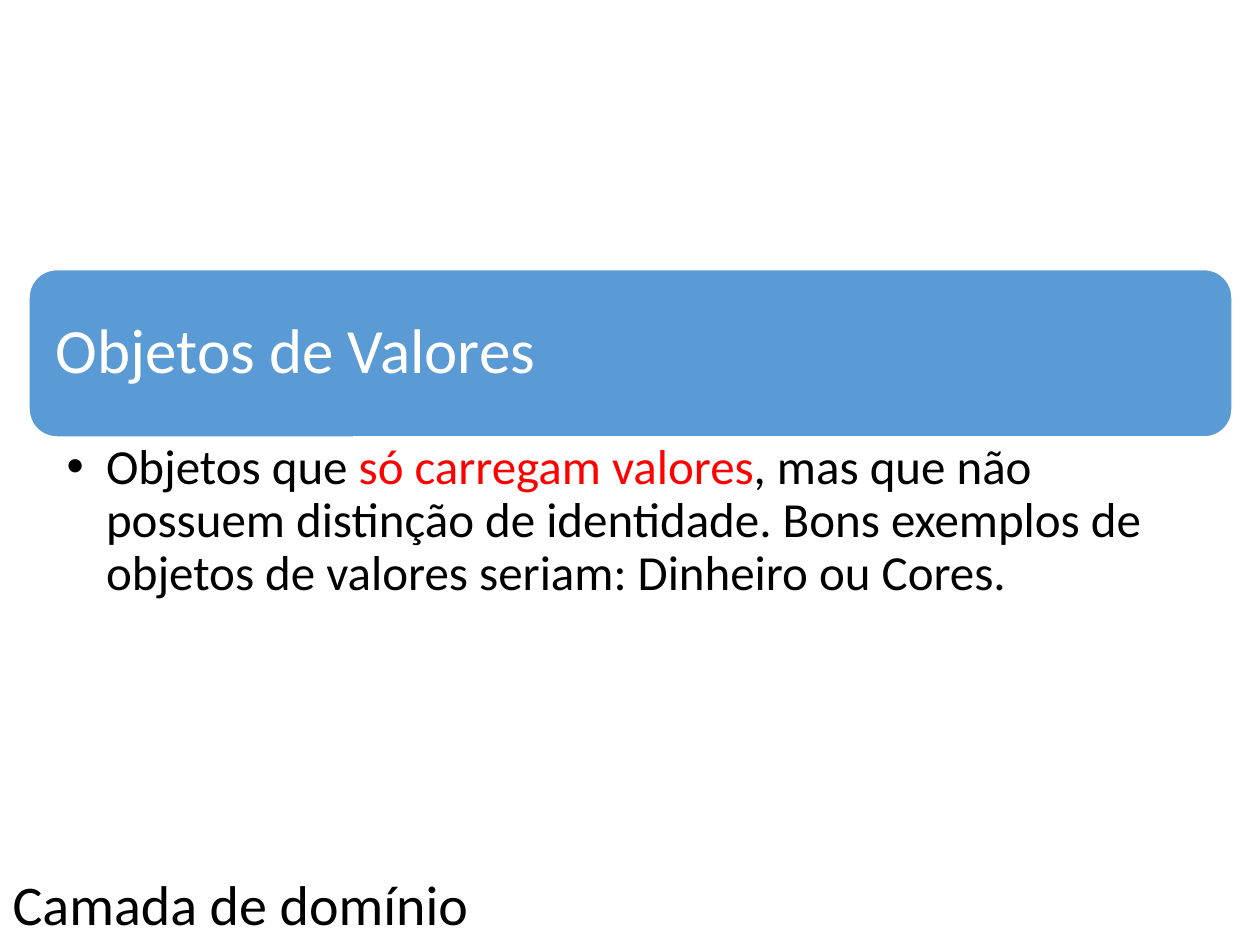
from lxml.etree import SubElement
from pptx import Presentation
from pptx.dml.color import RGBColor
from pptx.enum.shapes import MSO_SHAPE
from pptx.enum.text import MSO_ANCHOR, MSO_AUTO_SIZE, PP_ALIGN
from pptx.oxml.ns import qn
from pptx.util import Pt

COLORS = {"text": "000000", "accent": "FF0000", "banner": "5B9BD5", "white": "FFFFFF"}


def color(name):
    return RGBColor.from_string(COLORS[name])


def apply_format(target, values):
    for name, value in values.items():
        setattr(target, name, value)


def set_margins(frame, left, top, right, bottom):
    apply_format(frame, {
        "margin_left": Pt(left), "margin_top": Pt(top),
        "margin_right": Pt(right), "margin_bottom": Pt(bottom),
    })


def write_runs(paragraph, size, runs):
    """Add (text, colour name) runs to a left-aligned paragraph."""
    paragraph.alignment = PP_ALIGN.LEFT
    for text, color_name in runs:
        run = paragraph.add_run()
        run.text = text
        apply_format(run.font, {"name": "Calibri", "size": Pt(size)})
        run.font.color.rgb = color(color_name)


def add_bullet(paragraph, indent):
    properties = paragraph._p.get_or_add_pPr()
    properties.set("marL", str(Pt(indent)))
    properties.set("indent", str(-Pt(indent)))
    SubElement(properties, qn("a:buFont"), typeface="Arial")
    SubElement(properties, qn("a:buChar"), char="•")


def place_title(slide, left, top, width, height):
    title = slide.shapes.title
    apply_format(title, {"left": Pt(left), "top": Pt(top),
                         "width": Pt(width), "height": Pt(height)})
    frame = title.text_frame
    apply_format(frame, {"word_wrap": True, "auto_size": MSO_AUTO_SIZE.NONE,
                         "vertical_anchor": MSO_ANCHOR.TOP})
    set_margins(frame, 7.2, 3.6, 7.2, 3.6)
    write_runs(frame.paragraphs[0], 32, [("Camada de domínio", "text")])


def add_banner(slide, left, top, width, height):
    banner = slide.shapes.add_shape(
        MSO_SHAPE.ROUNDED_RECTANGLE, Pt(left), Pt(top), Pt(width), Pt(height))
    banner.shadow.inherit = False
    banner.fill.solid()
    banner.fill.fore_color.rgb = color("banner")
    banner.line.color.rgb = color("white")
    banner.line.width = Pt(1)
    frame = banner.text_frame
    apply_format(frame, {"word_wrap": True, "vertical_anchor": MSO_ANCHOR.MIDDLE})
    set_margins(frame, 10.8, 10.8, 10.8, 10.8)
    paragraph = frame.paragraphs[0]
    paragraph.line_spacing = 0.9
    write_runs(paragraph, 36, [("Objetos de Valores", "white")])


def add_description(slide, left, top, width, height):
    box = slide.shapes.add_textbox(Pt(left), Pt(top), Pt(width), Pt(height))
    frame = box.text_frame
    frame.word_wrap = True
    set_margins(frame, 21.6, 2.9, 15.8, 2.9)
    paragraph = frame.paragraphs[0]
    apply_format(paragraph, {"level": 1, "line_spacing": 0.9})
    add_bullet(paragraph, 22.5)
    write_runs(paragraph, 28, [
        ("Objetos que ", "text"),
        ("só carregam valores", "accent"),
        (", mas que não possuem distinção de identidade. "
         "Bons exemplos de objetos de valores seriam: Dinheiro ou Cores.", "text"),
    ])


def add_concept(slide, left, top, width, banner_height, description_height):
    """Stack the description directly under its banner."""
    add_banner(slide, left, top, width, banner_height)
    add_description(slide, left, top + banner_height, width, description_height)


def main():
    presentation = Presentation()
    presentation.slide_width = Pt(720)
    presentation.slide_height = Pt(540)
    slide = presentation.slides.add_slide(presentation.slide_layouts.get_by_name("Title Only"))
    place_title(slide, 0, 493.2, 720, 46)
    add_concept(slide, 16.5, 154, 687.6, 95.8, 98)
    presentation.save("out.pptx")


if __name__ == "__main__":
    main()
